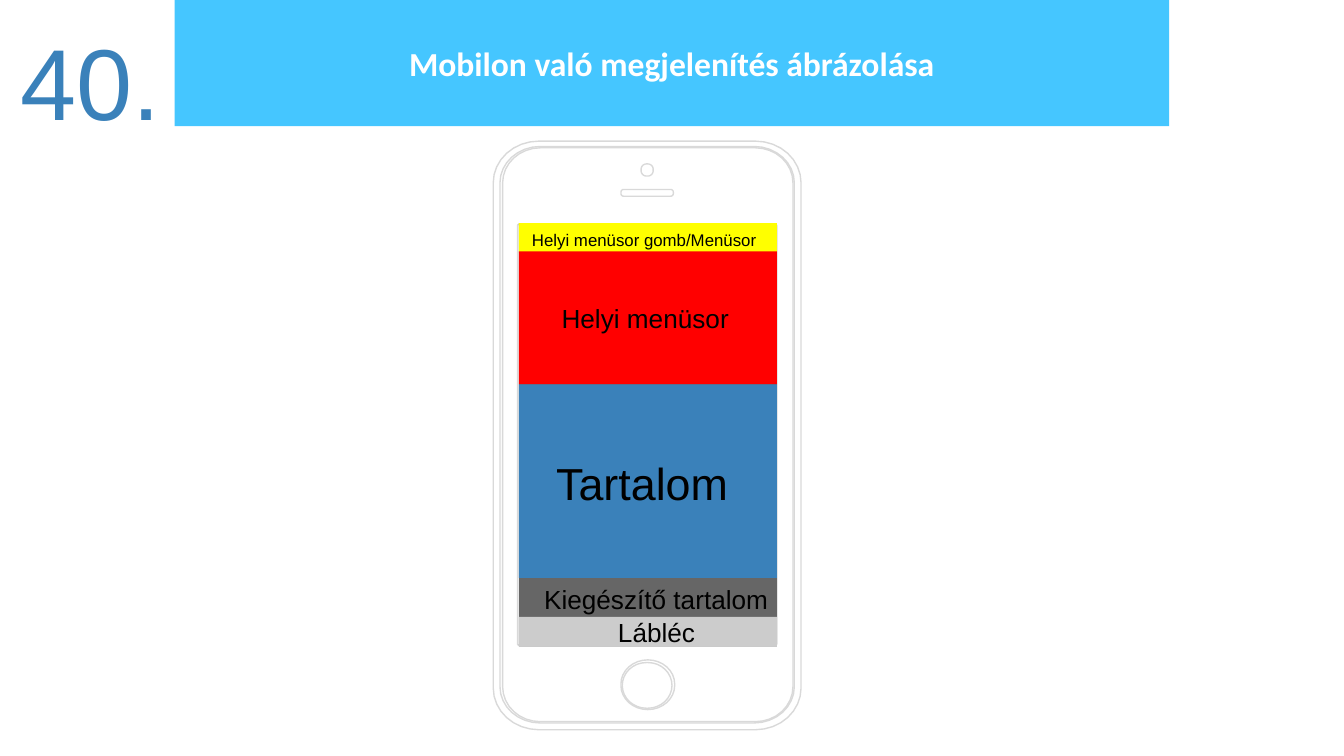
from dataclasses import dataclass
from math import cos, pi, sin

from lxml.etree import SubElement
from pptx import Presentation
from pptx.dml.color import RGBColor as Color
from pptx.enum.shapes import MSO_SHAPE as Shape
from pptx.enum.text import MSO_ANCHOR as Anchor, MSO_AUTO_SIZE as AutoSize, PP_ALIGN as Align
from pptx.oxml.ns import qn
from pptx.util import Inches, Pt


@dataclass(frozen=True)
class Theme:
    sans: str = "Arial"
    heading: str = "Calibri"
    band: str = "00B2FF"
    band_alpha: int = 73000
    white: str = "FFFFFF"
    black: str = "000000"
    blue: str = "3A81BA"
    yellow: str = "FFFF00"
    red: str = "FF0000"
    dark: str = "666666"
    light: str = "CCCCCC"
    outline: str = "D9D9D9"
    number_size: int = 54
    content_size: int = 24
    title_size: int = 18
    label_size: int = 14
    small_size: int = 9


THEME = Theme()


def inches(box):
    return [Inches(value) for value in box]


def apply(target, values):
    for name, value in values.items():
        setattr(target, name, value)


def write(shape, text, size, color, align=Align.LEFT, name=THEME.sans, bold=False, **frame_format):
    frame = shape.text_frame
    apply(frame, {"word_wrap": True, "vertical_anchor": Anchor.TOP, **frame_format})
    para = frame.paragraphs[0]
    para.alignment = align
    span = para.add_run()
    span.text = text
    apply(span.font, {"name": name, "size": Pt(size), "bold": bold})
    span.font.color.rgb = Color.from_string(color)


def add_block(page, box, color, kind=Shape.RECTANGLE):
    block = page.shapes.add_shape(kind, *inches(box))
    block.shadow.inherit = False
    block.fill.solid()
    block.fill.fore_color.rgb = Color.from_string(color)
    block.line.fill.background()
    return block


def add_label(page, box, text, size, color=THEME.black, **text_format):
    label = page.shapes.add_textbox(*inches(box))
    write(label, text, size, color, **text_format)


def add_header(page, box, title_text, number_text):
    left, top, width, height = box
    band = add_block(page, box, THEME.band)
    tint = band.element.find(".//" + qn("a:srgbClr"))
    SubElement(tint, qn("a:alpha"), val=str(THEME.band_alpha))
    title = page.shapes.title
    title.element.addprevious(band.element)
    place = inches((left, top + 0.22, width, 0.55))
    apply(title, dict(zip(("left", "top", "width", "height"), place)))
    margins = dict.fromkeys(
        ("margin_left", "margin_top", "margin_right", "margin_bottom"), Inches(0.1))
    write(title, title_text, THEME.title_size, THEME.white, Align.CENTER, THEME.heading, True,
          auto_size=AutoSize.NONE, **margins)
    add_label(page, (left - 1.25, top + 0.1, 1.25, 1.01), number_text, THEME.number_size,
              THEME.blue, align=Align.CENTER, word_wrap=False)


def rounded_outline(box, radius_x, radius_y, steps=8):
    left, top, width, height = box
    corners = (
        (left + width - radius_x, top + height - radius_y),
        (left + radius_x, top + height - radius_y),
        (left + radius_x, top + radius_y),
        (left + width - radius_x, top + radius_y),
    )
    return [
        (Inches(x + radius_x * cos(angle)), Inches(y + radius_y * sin(angle)))
        for quarter, (x, y) in enumerate(corners)
        for angle in ((quarter + step / steps) * pi / 2 for step in range(steps + 1))
    ]


def add_phone(page, box):
    left, top, width, height = box
    parts = (
        ((0, 0, width, height), 0.34, 0.31),
        ((0.05, 0.04, 2.19, 4.29), 0.3, 0.27),
        ((0.07, 0.05, 2.16, 4.27), 0.28, 0.26),
        ((0.18, 0.62, 1.93, 3.13), 0.01, 0.01),
        ((1.1, 0.17, 0.09, 0.09), 0.04, 0.04),
        ((0.95, 0.36, 0.39, 0.05), 0.02, 0.02),
        ((0.95, 3.86, 0.4, 0.37), 0.2, 0.18),
        ((0.96, 3.88, 0.37, 0.34), 0.18, 0.17),
    )
    outlines = [
        rounded_outline((left + x, top + y, w, h), radius_x, radius_y)
        for (x, y, w, h), radius_x, radius_y in parts
    ]
    builder = page.shapes.build_freeform(*outlines[0][0])
    for index, points in enumerate(outlines):
        if index:
            builder.move_to(*points[0])
        builder.add_line_segments(points[1:], close=True)
    phone = builder.convert_to_shape()
    phone.shadow.inherit = False
    phone.fill.solid()
    phone.fill.fore_color.rgb = Color.from_string(THEME.white)
    phone.line.color.rgb = Color.from_string(THEME.outline)
    phone.line.width = Pt(0.75)


def add_screen(page, box):
    left, top, width, height = box
    add_block(page, box, THEME.dark)
    sections = (
        (0, 0.22, THEME.yellow, Shape.RECTANGLE),
        (0.21, 0.99, THEME.red, Shape.RECTANGLE),
        (1.2, 1.44, THEME.blue, Shape.RECTANGLE),
        (2.64, 0.2, THEME.dark, Shape.FLOWCHART_PROCESS),
        (2.93, 0.22, THEME.light, Shape.RECTANGLE),
    )
    for offset, depth, color, kind in sections:
        add_block(page, (left, top + offset, width, depth), color, kind)
    labels = (
        (0, 0, 2.29, 0.25, "Helyi menüsor gomb/Menüsor", THEME.small_size),
        (0.22, 0.54, 1.56, 0.34, "Helyi menüsor", THEME.label_size),
        (0.18, 1.68, 1.93, 0.5, "Tartalom", THEME.content_size),
        (0.09, 2.63, 2.01, 0.34, "Kiegészítő tartalom", THEME.label_size),
        (0.64, 2.88, 2.2, 0.34, "Lábléc", THEME.label_size),
    )
    for x, y, label_width, label_height, text, size in labels:
        add_label(page, (left + x, top + y, label_width, label_height), text, size)


def main():
    deck = Presentation()
    apply(deck, {"slide_width": Inches(10), "slide_height": Inches(10 * 9 / 16)})
    page = deck.slides.add_slide(deck.slide_layouts[5])
    add_header(page, (1.3, 0, 7.4, 0.94), "Mobilon való megjelenítés ábrázolása", "40.")
    add_phone(page, (3.67, 1.05, 2.29, 4.38))
    add_screen(page, (3.86, 1.66, 1.92, 3.15))
    deck.save("out.pptx")


if __name__ == "__main__":
    main()
